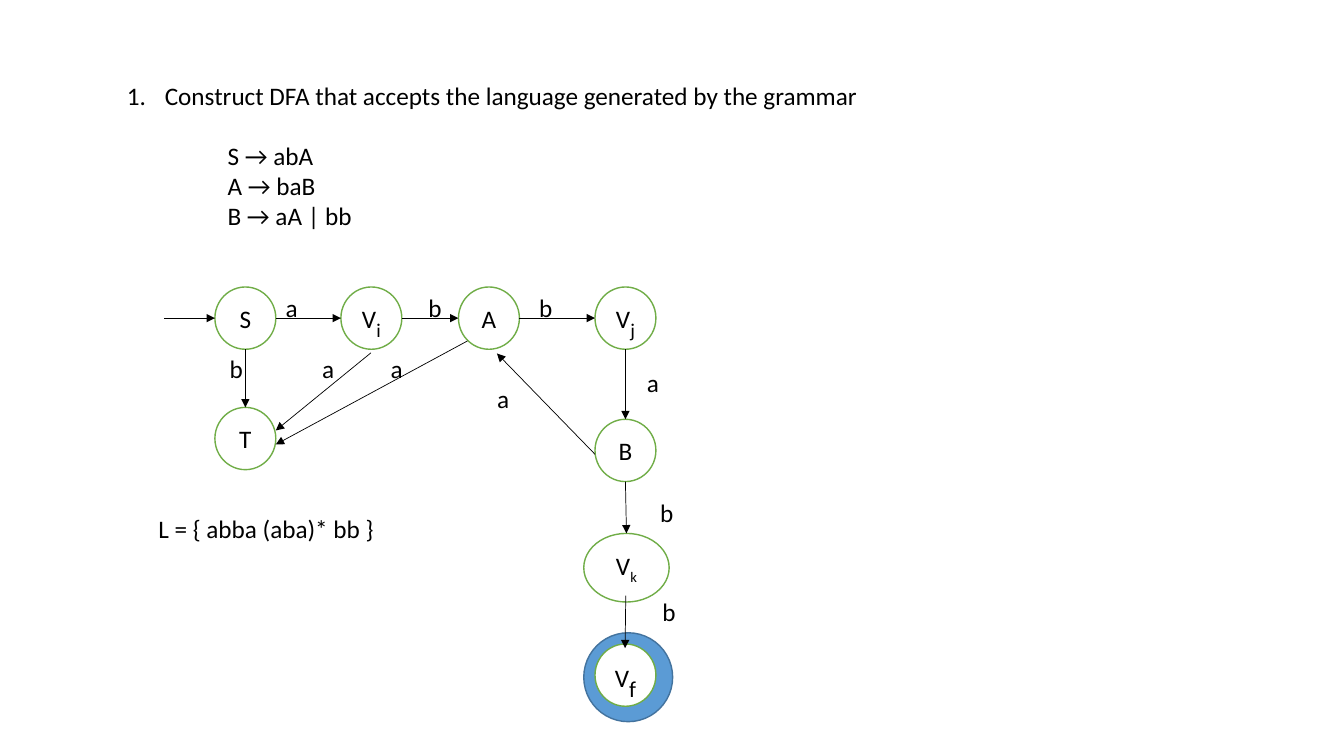
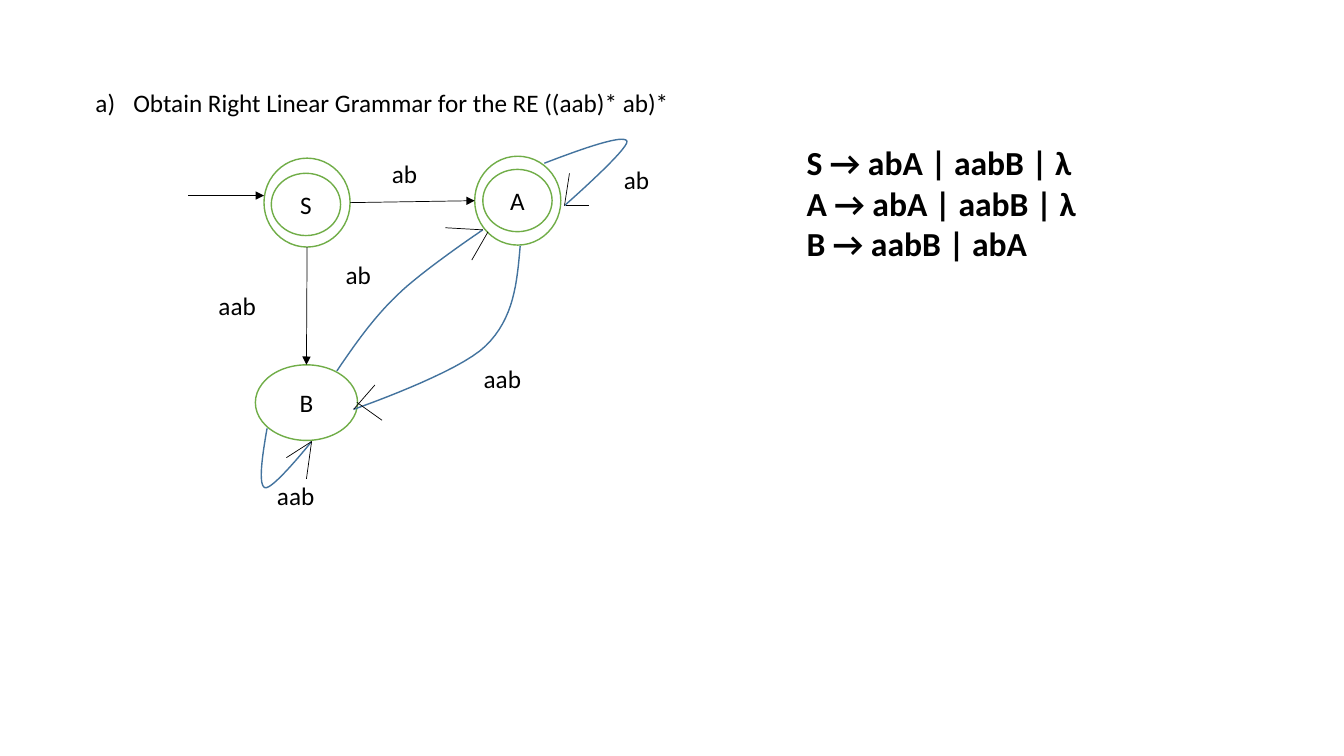
from dataclasses import dataclass
from typing import Any

from lxml.etree import SubElement
from pptx import Presentation
from pptx.dml.color import RGBColor
from pptx.enum.shapes import MSO_CONNECTOR, MSO_SHAPE
from pptx.enum.text import MSO_ANCHOR, MSO_AUTO_SIZE, PP_ALIGN
from pptx.oxml.ns import qn
from pptx.util import Pt

BLACK = RGBColor(0x00, 0x00, 0x00)
WHITE = RGBColor(0xFF, 0xFF, 0xFF)
GREEN = RGBColor(0x70, 0xAD, 0x47)
BLUE = RGBColor(0x5B, 0x9B, 0xD5)
DARK_BLUE = RGBColor(0x43, 0x73, 0x9E)
FONT = "Calibri"
TEXT_SIZE = 18
TITLE_ONLY = 5
STATE_SIZE = (43.5, 44.5)
OUTER_SIZE = (61.5, 63.5)
INNER_SIZE = (49.5, 44.5)
CURVE_STEPS = 16


def style_span(span, size=TEXT_SIZE, bold=False):
    """Give a run the deck's font and colour."""
    span.font.name = FONT
    span.font.size = Pt(size)
    span.font.bold = bold
    span.font.color.rgb = BLACK


def add_text(page, left, top, width, height, text, size=TEXT_SIZE, bold=False):
    """Place a text box, one paragraph per line."""
    box = page.shapes.add_textbox(Pt(left), Pt(top), Pt(width), Pt(height))
    box.text_frame.word_wrap = True
    box.text_frame.text = text
    for para in box.text_frame.paragraphs:
        for span in para.runs:
            style_span(span, size, bold)


def add_heading(page, left, top, width, text, numbering):
    """Format the title placeholder as a numbered question."""
    title = page.shapes.title
    title.left, title.top, title.width, title.height = Pt(left), Pt(top), Pt(width), Pt(29)
    frame = title.text_frame
    frame.text = text
    frame.word_wrap = True
    frame.auto_size = MSO_AUTO_SIZE.NONE
    frame.vertical_anchor = MSO_ANCHOR.TOP
    para = frame.paragraphs[0]
    para.alignment = PP_ALIGN.LEFT
    style_span(para.runs[0])
    properties = para._p.get_or_add_pPr()
    properties.set("marL", str(Pt(27)))
    properties.set("indent", str(-Pt(27)))
    SubElement(properties, qn("a:buFont"), typeface="+mj-lt")
    SubElement(properties, qn("a:buAutoNum"), type=numbering)


def bezier(start, first, second, end):
    """List the points along one cubic curve, without its start."""
    points = []
    for step in range(1, CURVE_STEPS + 1):
        t = step / CURVE_STEPS
        weights = ((1 - t) ** 3, 3 * t * (1 - t) ** 2, 3 * t * t * (1 - t), t ** 3)
        corners = (start, first, second, end)
        points.append(tuple(sum(w * c[axis] for w, c in zip(weights, corners)) for axis in (0, 1)))
    return points


@dataclass
class State:
    """An ellipse inside a diagram, with its side midpoints."""

    left: float
    top: float
    width: float
    height: float

    def side(self, name):
        """Return the middle of the named side."""
        middle_x, middle_y = self.left + self.width / 2, self.top + self.height / 2
        return {
            "top": (middle_x, self.top),
            "left": (self.left, middle_y),
            "bottom": (middle_x, self.top + self.height),
            "right": (self.left + self.width, middle_y),
        }[name]


@dataclass
class Diagram:
    """A drawing area whose parts are placed from its top left corner."""

    page: Any
    left: float
    top: float

    def place(self, point):
        """Turn a point of the area into a point of the page."""
        return Pt(self.left + point[0]), Pt(self.top + point[1])

    def state(self, left, top, size=STATE_SIZE, text="", subscript="",
              subscript_size=TEXT_SIZE, fill=WHITE, outline=GREEN):
        """Draw a state, with an optional subscript."""
        shape = self.page.shapes.add_shape(
            MSO_SHAPE.OVAL, *self.place((left, top)), Pt(size[0]), Pt(size[1]))
        shape.shadow.inherit = False
        shape.fill.solid()
        shape.fill.fore_color.rgb = fill
        shape.line.color.rgb = outline
        shape.line.width = Pt(1)
        frame = shape.text_frame
        frame.word_wrap = False
        frame.vertical_anchor = MSO_ANCHOR.MIDDLE
        frame.text = text
        para = frame.paragraphs[0]
        para.alignment = PP_ALIGN.CENTER
        for span in para.runs:
            style_span(span)
        if subscript:
            span = para.add_run()
            span.text = subscript
            style_span(span, subscript_size)
            span._r.get_or_add_rPr().set("baseline", "-25000")
        return State(left, top, *size)

    def line(self, start, end, arrow=True):
        """Draw a thin straight line, with an arrowhead at its end if wanted."""
        connector = self.page.shapes.add_connector(
            MSO_CONNECTOR.STRAIGHT, *self.place(start), *self.place(end))
        connector.line.color.rgb = BLACK
        connector.line.width = Pt(0.5)
        properties = connector._element.spPr
        if arrow:
            SubElement(properties.find(qn("a:ln")), qn("a:tailEnd"), type="triangle")
        SubElement(properties, qn("a:effectLst"))

    def curve(self, start, *segments):
        """Draw an open curve through cubic segments."""
        builder = self.page.shapes.build_freeform(*self.place(start))
        points, current = [], start
        for segment in segments:
            points += bezier(current, *segment)
            current = segment[-1]
        builder.add_line_segments([self.place(point) for point in points], close=False)
        shape = builder.convert_to_shape()
        shape.shadow.inherit = False
        shape.fill.background()
        shape.line.color.rgb = DARK_BLUE
        shape.line.width = Pt(1)

    def label(self, left, top, text):
        """Write the symbols read on a transition."""
        add_text(self.page, self.left + left, self.top + top, 44, 29, text)


def draw_dfa(page, left, top):
    """Draw the automaton that accepts the grammar's language."""
    diagram = Diagram(page, left, top)
    diagram.state(299.5, 247, (63.5, 63.5), fill=BLUE, outline=DARK_BLUE)
    s = diagram.state(36, 0, text="S")
    vi = diagram.state(126, 0, text="V", subscript="i", subscript_size=24)
    a = diagram.state(210, 0, text="A")
    vj = diagram.state(307.5, 0, text="V", subscript="j", subscript_size=24)
    b = diagram.state(307.5, 94.5, text="B")
    vk = diagram.state(299.5, 176, (61, 49), text="V", subscript="k")
    diagram.state(307.5, 255, text="V", subscript="f", subscript_size=28)
    t = diagram.state(36, 86, text="T")

    diagram.line((0, STATE_SIZE[1] / 2), s.side("left"))
    for source, target in ((s, vi), (vi, a), (a, vj)):
        diagram.line(source.side("right"), target.side("left"))
    for source, target in ((s, t), (vj, b), (b, vk)):
        diagram.line(source.side("bottom"), target.side("top"))
    for start, end in (
        ((329.5, 220.5), (329, 258)),
        ((307.5, 119.5), (237.5, 47.5)),
        ((147.5, 47), (79.5, 102.5)),
        ((216.5, 38.5), (79.5, 112.5)),
    ):
        diagram.line(start, end)

    for x, y, text in (
        (79.5, 0, "a"), (181.5, 0, "b"), (260.5, 0, "b"),
        (39.5, 44, "b"), (105.5, 44, "a"), (154.5, 44, "a"),
        (230.5, 65.5, "a"), (337.5, 54, "a"), (347, 147, "b"), (348.5, 217.5, "b"),
    ):
        diagram.label(x, y, text)


def draw_expression_graph(page, left, top):
    """Draw the transition graph of the regular expression."""
    diagram = Diagram(page, left, top)
    s = diagram.state(54, 13.6, OUTER_SIZE)
    diagram.state(59.2, 24.4, INNER_SIZE, "S")
    a = diagram.state(204.5, 12.2, OUTER_SIZE)
    diagram.state(210.3, 21.6, INNER_SIZE, "A")
    b = diagram.state(47.8, 161.2, (73, 54), "B")

    diagram.line((0, 40.3), (54, 40.3))
    diagram.line(s.side("right"), a.side("left"))
    diagram.line(s.side("bottom"), b.side("top"))

    a_loop_end, b_loop_end = (268.6, 47.5), (88, 216)
    a_entry, b_entry = (210.3, 64.8), (118, 193)
    diagram.curve((254.2, 17.2), ((282.3, 6.4), (311, -3.6), (313.2, 1.4)),
                  ((315.4, 6.4), a_loop_end, a_loop_end))
    diagram.curve((56.2, 206.6), ((52.6, 226.8), (49.7, 247.6), (54.8, 249)),
                  ((60.5, 250.5), b_loop_end, b_loop_end))
    diagram.curve((106, 165.6), ((118.8, 146.8), (131.8, 128), (149, 111.6)),
                  ((166.4, 94.3), a_entry, a_entry))
    diagram.curve((237, 76.3), ((234.8, 102.2), (232.6, 128), (212.4, 147.6)),
                  ((193, 167), b_entry, b_entry))

    for start, end in (
        (a_loop_end, (272.2, 24.4)), ((270, 47.5), (286, 47.5)),
        (b_loop_end, (70, 227.5)), (b_loop_end, (84.3, 242.6)),
        (a_entry, (183.6, 63.3)), ((214, 66.2), (202.4, 86.4)),
        (b_entry, (133.2, 175.6)), ((120.3, 188), (138.3, 200.8)),
    ):
        diagram.line(start, end, arrow=False)

    for x, y, text in (
        (138.3, 10, "ab"), (14.4, 104.4, "aab"), (304, 14.4, "ab"),
        (56.2, 240.4, "aab"), (105.2, 82, "ab"), (203.8, 156.2, "aab"),
    ):
        diagram.label(x, y, text)


def build_dfa_page(page):
    """Fill the slide that turns a grammar into an automaton."""
    add_heading(page, 83.5, 53.5, 650,
                "Construct DFA that accepts the language generated by the grammar", "arabicPeriod")
    add_text(page, 155.5, 96.5, 150, 73, "S → abA\nA → baB\nB → aA | bb")
    draw_dfa(page, 117.5, 205)
    add_text(page, 106, 363, 190, 29, "L = { abba (aba)* bb }")


def build_grammar_page(page):
    """Fill the slide that turns an expression into a grammar."""
    add_heading(page, 61, 59, 795,
                "Obtain Right Linear Grammar for the RE ((aab)* ab)*", "alphaLcParenR")
    draw_expression_graph(page, 134.6, 99.4)
    add_text(page, 569, 98, 265, 94,
             "S → abA | aabB | λ\nA → abA | aabB | λ\nB → aabB | abA", 24, True)


def main():
    """Build and save the deck."""
    deck = Presentation()
    deck.slide_width, deck.slide_height = Pt(960), Pt(540)
    for build_page in (build_dfa_page, build_grammar_page):
        build_page(deck.slides.add_slide(deck.slide_layouts[TITLE_ONLY]))
    deck.save("out.pptx")


if __name__ == "__main__":
    main()
